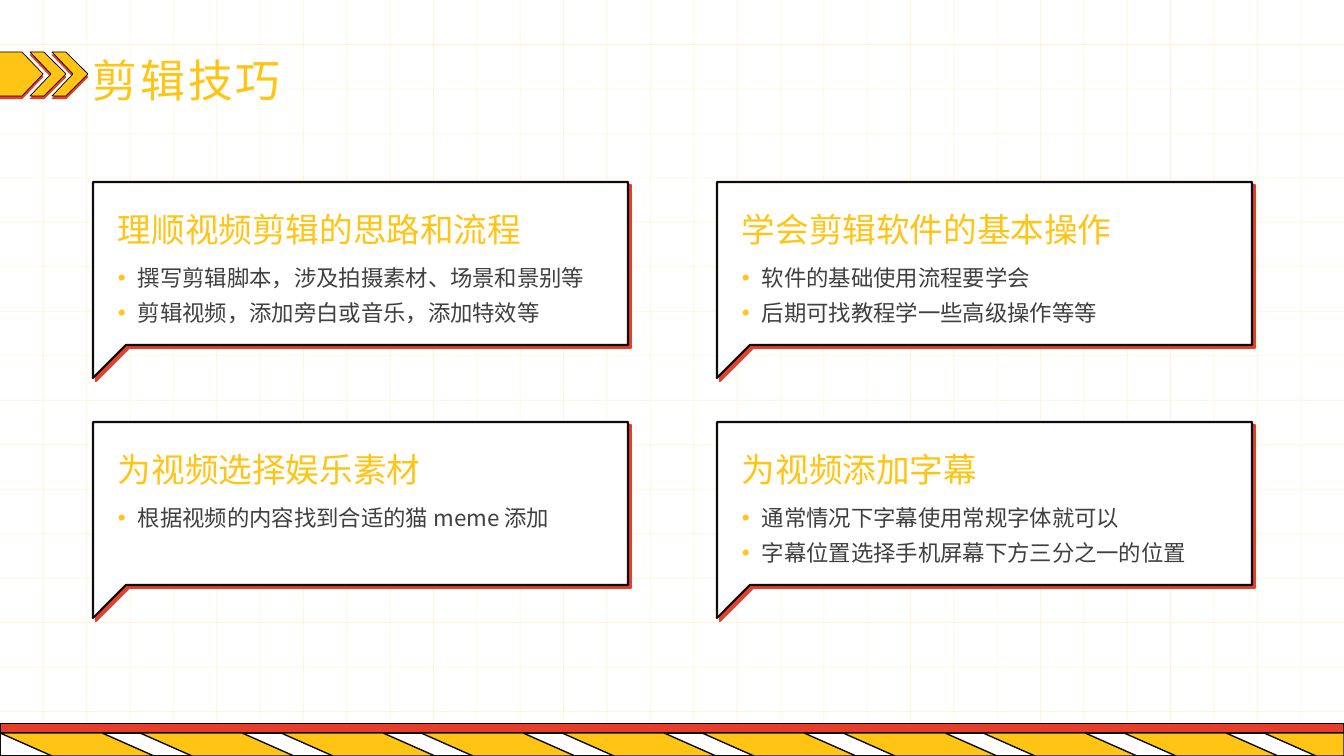
"""Build the editing tips slide with four speech bubbles."""
from lxml import etree
from pptx import Presentation, util as u
from pptx.dml.color import RGBColor
from pptx.enum import shapes, text
from pptx.oxml import ns

PX = 914400 / 100.8
WIDTH, HEIGHT = 1344, 756
YELLOW = RGBColor(0xFF, 0xC4, 0x14)
RED = RGBColor(0xE7, 0x3E, 0x2B)
BLACK = RGBColor(0, 0, 0)
INK = RGBColor(0x0D, 0x0D, 0x0D)
GREY = RGBColor(0x40, 0x40, 0x40)
WHITE = RGBColor(0xFF, 0xFF, 0xFF)
FONT = "Noto Sans CJK SC"
ROWS, COLUMNS = 17, 31
STRIPES, STRIPE_TOP = 10, 733

BUBBLES = [
    ("理顺视频剪辑的思路和流程", ["撰写剪辑脚本，涉及拍摄素材、场景和景别等",
                      "剪辑视频，添加旁白或音乐，添加特效等"]),
    ("学会剪辑软件的基本操作", ["软件的基础使用流程要学会",
                     "后期可找教程学一些高级操作等等"]),
    ("为视频选择娱乐素材", ["根据视频的内容找到合适的猫 meme 添加"]),
    ("为视频添加字幕", ["通常情况下字幕使用常规字体就可以",
                 "字幕位置选择手机屏幕下方三分之一的位置"]),
]


def emu(px):
    """Turn px into EMU."""
    return u.Emu(round(px * PX))


def add_xml(parent, tag, **attrs):
    """Append a DrawingML element to parent."""
    return etree.SubElement(parent, ns.qn(tag), attrs)


def paint(sp, fill, line, width):
    """Give a shape a solid fill and outline, without a shadow."""
    sp.shadow.inherit = False
    sp.fill.solid()
    sp.fill.fore_color.rgb = fill
    sp.line.color.rgb = line
    sp.line.width = u.Pt(width)


def add_shadow(sp, points, degrees):
    """Add a hard red shadow to a painted shape."""
    effects = sp.element.spPr.find(ns.qn("a:effectLst"))
    shadow = add_xml(effects, "a:outerShdw", blurRad="0", dist=str(u.Pt(points)),
                     dir=str(degrees * 60000), algn="tl", rotWithShape="0")
    add_xml(shadow, "a:srgbClr", val=str(RED))


def add_rect(s, x, y, w, h, fill, line, width):
    """Add a painted rectangle."""
    sp = s.shapes.add_shape(shapes.MSO_SHAPE.RECTANGLE, emu(x), emu(y), emu(w), emu(h))
    paint(sp, fill, line, width)


def add_outline(s, contours, fill, line, width):
    """Add one painted freeform made of closed contours."""
    builder = s.shapes.build_freeform(*contours[0][0], scale=PX)
    builder.add_line_segments(contours[0][1:], close=True)
    for contour in contours[1:]:
        builder.move_to(*contour[0])
        builder.add_line_segments(contour[1:], close=True)
    sp = builder.convert_to_shape()
    paint(sp, fill, line, width)
    return sp


def add_grid_line(s, x1, y1, x2, y2):
    """Add a faint grid line."""
    line = s.shapes.add_connector(shapes.MSO_CONNECTOR.STRAIGHT,
                                  emu(x1), emu(y1), emu(x2), emu(y2))
    line.line.color.rgb = YELLOW
    line.line.width = u.Pt(0.5)
    spPr = line.element.spPr
    add_xml(spPr.find(".//" + ns.qn("a:srgbClr")), "a:alpha", val="17000")
    add_xml(spPr, "a:effectLst")


def add_grid(s):
    """Cover the slide with evenly spaced grid lines."""
    for row in range(1, ROWS):
        y = HEIGHT * row / ROWS
        add_grid_line(s, 0, y, WIDTH, y)
    for column in range(1, COLUMNS):
        x = WIDTH * column / COLUMNS
        add_grid_line(s, x, 0, x, HEIGHT)


def add_footer(s):
    """Add the red bar and the slanted hazard stripes."""
    add_rect(s, 0, 724, WIDTH, 25, RED, BLACK, 0)
    add_rect(s, 0, STRIPE_TOP, WIDTH, HEIGHT - STRIPE_TOP, WHITE, INK, 1)
    corners = [(0, STRIPE_TOP), (52, HEIGHT), (154, HEIGHT), (102, STRIPE_TOP)]
    stripes = [[(min(round(140.44 * i) + dx, WIDTH), y) for dx, y in corners]
               for i in range(STRIPES)]
    add_outline(s, stripes, YELLOW, INK, 1)


def add_arrows(s):
    """Add the pentagon and two chevrons beside the title."""
    pentagon = [(-1, 52), (22, 52), (43, 74), (22, 96), (-1, 96)]
    chevron = [(36, 74), (14, 96), (0, 96), (21, 74), (0, 52), (14, 52)]
    chevrons = [[(x + dx, y) for dx, y in chevron] for x in (30, 52)]
    for outline in [pentagon, *chevrons]:
        add_shadow(add_outline(s, [outline], YELLOW, BLACK, 0.5), 2, 90)


def write(tf, lines, size, color, spacing, wrap=False, **paragraph):
    """Fill a text frame with one formatted paragraph per line."""
    margins = dict.fromkeys(["margin_left", "margin_top", "margin_right", "margin_bottom"], 0)
    for name, value in {**margins, "word_wrap": wrap}.items():
        setattr(tf, name, value)
    for i, line in enumerate(lines):
        p = tf.add_paragraph() if i else tf.paragraphs[0]
        for name, value in {"line_spacing": u.Pt(spacing), **paragraph}.items():
            setattr(p, name, value)
        r = p.add_run()
        r.text = line
        for name, value in {"size": u.Pt(size), "name": FONT}.items():
            setattr(r.font, name, value)
        r.font.color.rgb = color
        add_xml(r.font._element, "a:ea", typeface=FONT)


def add_text(s, x, y, w, h, lines, *style, **options):
    """Add a text box and return its text frame."""
    tf = s.shapes.add_textbox(emu(x), emu(y), emu(w), emu(h)).text_frame
    write(tf, lines, *style, **options)
    return tf


def add_bullets(tf):
    """Give every paragraph a hanging yellow bullet."""
    for p in tf.paragraphs:
        pPr = p._p.get_or_add_pPr()
        pPr.set("marL", str(emu(20)))
        pPr.set("indent", str(emu(-20)))
        add_xml(add_xml(pPr, "a:buClr"), "a:srgbClr", val=str(YELLOW))
        add_xml(pPr, "a:buFont", typeface="Arial")
        add_xml(pPr, "a:buChar", char="•")


def add_bubble(s, x, y, heading, lines):
    """Add a speech bubble with its heading and bullet list."""
    corners = [(0, 0), (535, 0), (535, 163), (33, 163), (0, 196)]
    sp = add_outline(s, [[(x + dx, y + dy) for dx, dy in corners]], WHITE, INK, 1.5)
    add_shadow(sp, 3, 45)
    add_text(s, x + 25, y + 25, 34 * len(heading), 40, [heading], 24, YELLOW, 30)
    tf = add_text(s, x + 25, y + 74, 484, 34 * len(lines), lines, 16, GREY, 25,
                  wrap=True, alignment=text.PP_ALIGN.JUSTIFY)
    add_bullets(tf)


def add_title(s, words):
    """Place and format the title above the decoration."""
    title = s.shapes.title
    box = {"left": 93, "top": 54, "width": 193, "height": 50}
    for name, value in box.items():
        setattr(title, name, emu(value))
    tf = title.text_frame
    write(tf, [words], 32, YELLOW, 39, alignment=text.PP_ALIGN.LEFT)
    tf.vertical_anchor = text.MSO_ANCHOR.MIDDLE
    tf.auto_size = text.MSO_AUTO_SIZE.NONE
    tf.paragraphs[0].runs[0].font._element.set("spc", "200")
    s.shapes.element.append(title.element)


def main():
    """Build and save the slide."""
    prs = Presentation()
    prs.slide_width, prs.slide_height = emu(WIDTH), emu(HEIGHT)
    s = prs.slides.add_slide(prs.slide_layouts[5])
    add_grid(s)
    add_footer(s)
    add_arrows(s)
    add_title(s, "剪辑技巧")
    for i, (heading, lines) in enumerate(BUBBLES):
        row, column = divmod(i, 2)
        add_bubble(s, 93 + 624 * column, 182 + 240 * row, heading, lines)
    prs.save("out.pptx")


if __name__ == "__main__":
    main()
